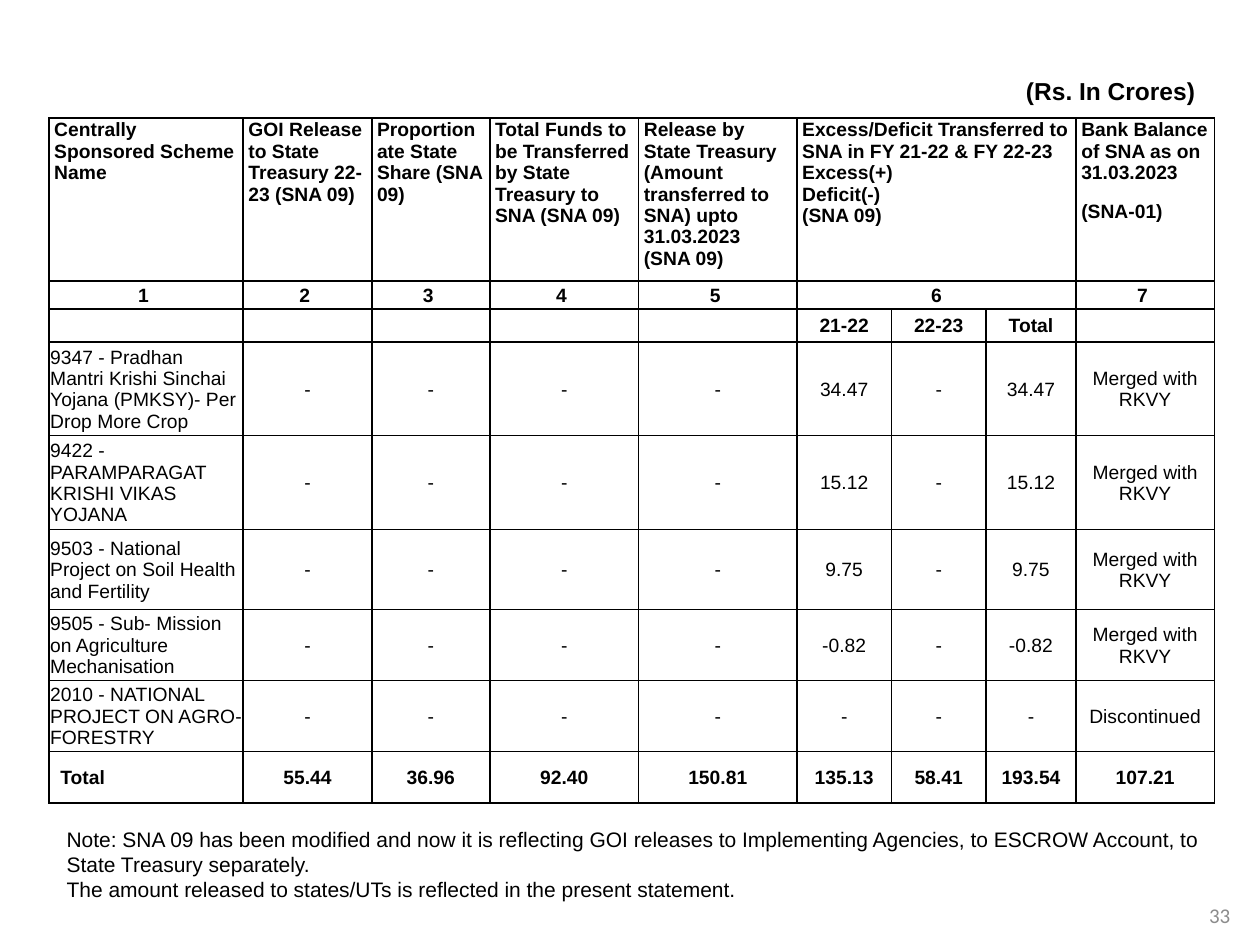
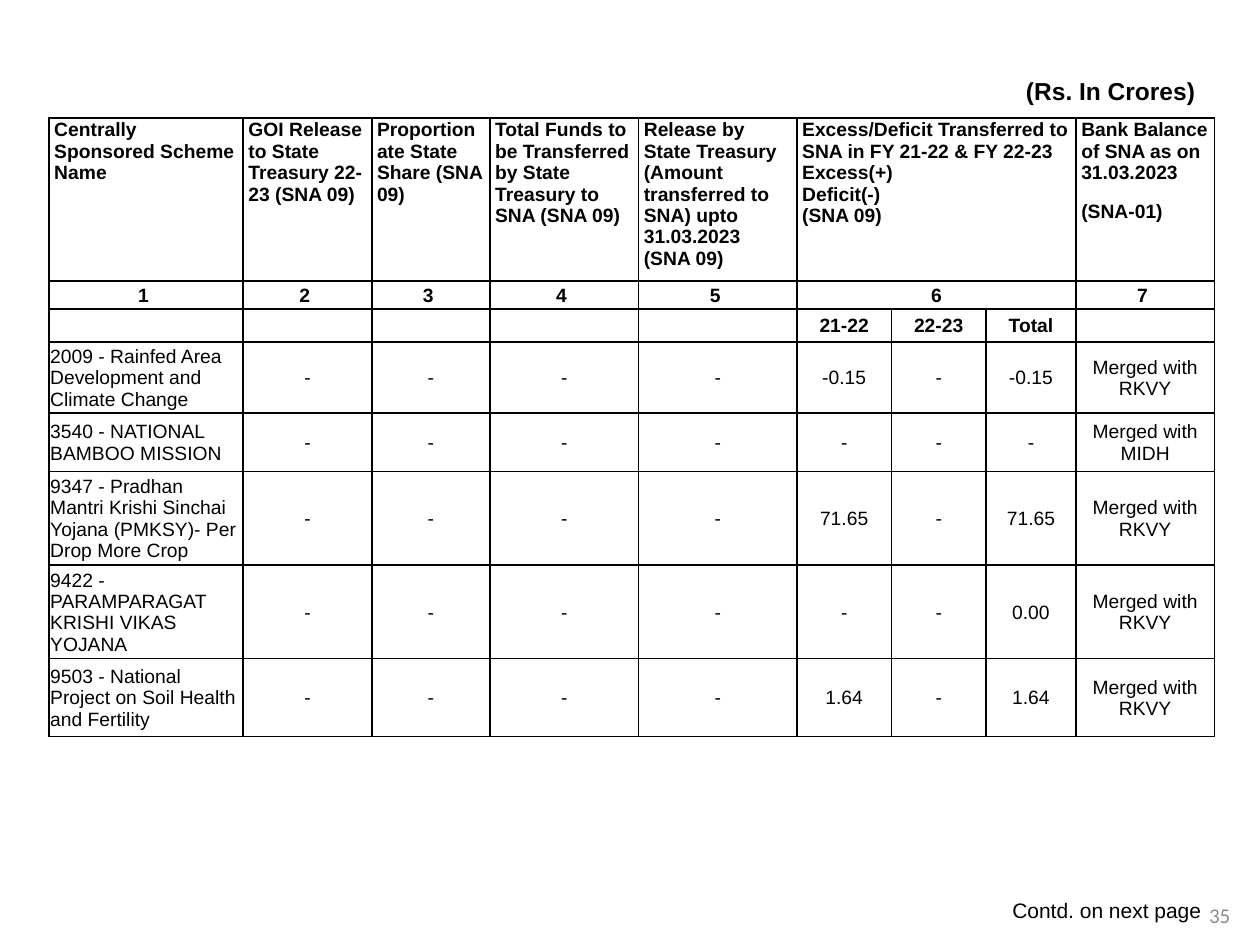
from lxml.etree import SubElement
from pptx import Presentation
from pptx.dml.color import RGBColor
from pptx.enum.text import MSO_ANCHOR as Anchor, MSO_AUTO_SIZE as AutoSize, PP_ALIGN as Align
from pptx.oxml.ns import qn
from pptx.util import Pt

BLACK = RGBColor(0x00, 0x00, 0x00)
GREY = RGBColor(0x8C, 0x8C, 0x8C)
TITLE_ONLY = 5

# Table columns and the heading rows both slides share
COLUMN_WIDTHS = [111, 73.5, 67.5, 85, 90.5, 54, 54, 51.5, 79]
HEADING_HEIGHTS = [93, 16, 19]
EXCESS, EXCESS_END = 5, 7
HEADINGS = {
    0: ["Centrally Sponsored Scheme Name"],
    1: ["GOI Release to State Treasury 22-23 (SNA 09)"],
    2: ["Proportionate State Share (SNA 09)"],
    3: ["Total Funds to be Transferred by State Treasury to SNA (SNA 09)"],
    4: ["Release by State Treasury (Amount transferred to SNA) upto 31.03.2023 (SNA 09)"],
    EXCESS: ["Excess/Deficit Transferred to SNA in FY 21-22 & FY 22-23",
             "Excess(+)", "Deficit(-)", "(SNA 09)"],
    8: ["Bank Balance of SNA as on 31.03.2023", "(SNA-01)"],
}
YEARS = [""] * 5 + ["21-22", "22-23", "Total", ""]

PMKSY = "9347 - Pradhan Mantri Krishi Sinchai Yojana (PMKSY)- Per Drop More Crop"
PKVY = "9422 - PARAMPARAGAT KRISHI VIKAS YOJANA"
SOIL_HEALTH = "9503 - National Project on Soil Health and Fertility"
RKVY = "Merged with RKVY"


def scheme(height, name, excess, status, total=None):
    """Row of a scheme that had no releases in 22-23."""
    return height, [name, *"----", excess, "-", total or excess, status]


class Deck:
    """Holds the style and the current slide."""

    def __init__(self):
        self.deck = Presentation()
        self.deck.slide_width, self.deck.slide_height = Pt(720), Pt(540)
        self.slide = None

    def add_lines(self, frame, lines, size, bold=False, align=Align.LEFT, font="Arial",
                  color=BLACK, after=0, spacing=1.0):
        for number, line in enumerate(lines):
            paragraph = frame.paragraphs[0] if number == 0 else frame.add_paragraph()
            paragraph.alignment = align
            paragraph.space_before, paragraph.space_after = Pt(0), Pt(after)
            paragraph.line_spacing = spacing
            if not line:
                # Keeps an empty cell from growing its row
                SubElement(paragraph._p, qn("a:endParaRPr"), sz=str(size * 100))
                continue
            run = paragraph.add_run()
            run.text = line
            run.font.name, run.font.size, run.font.bold = font, Pt(size), bold
            run.font.color.rgb = color

    def start(self, title):
        self.slide = self.deck.slides.add_slide(self.deck.slide_layouts[TITLE_ONLY])
        unit = self.slide.shapes.title
        unit.left, unit.top, unit.width, unit.height = Pt(31), Pt(24.5), Pt(663), Pt(39.5)
        frame = unit.text_frame
        frame.auto_size, frame.vertical_anchor = AutoSize.NONE, Anchor.BOTTOM
        frame.margin_right = Pt(11)
        self.add_lines(frame, [title], 14, bold=True, align=Align.RIGHT)

    def text(self, left, top, width, height, lines, wrap=True, anchor=Anchor.TOP, **style):
        box = self.slide.shapes.add_textbox(Pt(left), Pt(top), Pt(width), Pt(height))
        box.text_frame.word_wrap, box.text_frame.vertical_anchor = wrap, anchor
        self.add_lines(box.text_frame, lines, 12, **style)

    def page_number(self, number):
        self.text(682.5, 508.5, 29, 29, [str(number)], anchor=Anchor.MIDDLE,
                  align=Align.CENTER, font="Calibri", color=GREY)

    def frame_cell(self, cell):
        properties = cell._tc.get_or_add_tcPr()
        for side in ("a:lnL", "a:lnR", "a:lnT", "a:lnB"):
            border = SubElement(properties, qn(side), w=str(Pt(1)))
            fill = SubElement(border, qn("a:solidFill"))
            SubElement(fill, qn("a:srgbClr"), val=str(BLACK))
        cell.fill.background()

    def cell(self, cell, lines, side=0.7, left=None, anchor=Anchor.MIDDLE, **style):
        cell.margin_left = Pt(side if left is None else left)
        cell.margin_right = Pt(side)
        cell.margin_top, cell.margin_bottom = Pt(0.7), Pt(0)
        cell.vertical_anchor = anchor
        self.add_lines(cell.text_frame, lines, 11, **style)

    def scheme_table(self, schemes, totals=None):
        rows = schemes + ([totals] if totals else [])
        heights = HEADING_HEIGHTS + [height for height, _ in rows]
        table = self.slide.shapes.add_table(
            len(heights), len(COLUMN_WIDTHS), Pt(28), Pt(67.5),
            Pt(sum(COLUMN_WIDTHS)), Pt(sum(heights))).table
        table.first_row = table.horz_banding = False
        for column, width in zip(table.columns, COLUMN_WIDTHS):
            column.width = Pt(width)
        for row, height in zip(table.rows, heights):
            row.height = Pt(height)
            for cell in row.cells:
                self.frame_cell(cell)

        # Headings and their numbers
        for row in range(2):
            table.cell(row, EXCESS).merge(table.cell(row, EXCESS_END))
        for number, (column, heading) in enumerate(HEADINGS.items(), 1):
            self.cell(table.cell(0, column), heading, side=3, anchor=Anchor.TOP,
                      bold=True, after=0 if column == EXCESS else 10)
            label = str(number) if column == EXCESS else f"{number} "
            self.cell(table.cell(1, column), [label], side=3, anchor=Anchor.TOP,
                      bold=True, align=Align.CENTER, after=10, spacing=1.15)
        for column, year in enumerate(YEARS):
            self.cell(table.cell(2, column), [year], bold=True, align=Align.CENTER)

        # Schemes and totals
        for row, (_, values) in enumerate(rows, len(HEADING_HEIGHTS)):
            is_total = totals is not None and row == len(heights) - 1
            for column, value in enumerate(values):
                self.cell(table.cell(row, column), [value], bold=is_total,
                          left=6.5 if is_total and column == 0 else None,
                          align=Align.CENTER if column else Align.LEFT)


def main():
    report = Deck()

    # Schemes with totals
    report.start("(Rs. In Crores)")
    report.scheme_table(
        [scheme(53.5, PMKSY, "34.47", RKVY),
         scheme(53.5, PKVY, "15.12", RKVY),
         scheme(46, SOIL_HEALTH, "9.75", RKVY),
         scheme(40.5, "9505 - Sub- Mission on Agriculture Mechanisation", "-0.82", RKVY),
         scheme(40.5, "2010 - NATIONAL PROJECT ON AGRO- FORESTRY", "-", "Discontinued")],
        totals=(29.5, ["Total", "55.44", "36.96", "92.40", "150.81",
                       "135.13", "58.41", "193.54", "107.21"]))
    report.page_number(33)
    report.text(31, 468.5, 664, 51, [
        "Note: SNA 09 has been modified and now it is reflecting GOI releases to "
        "Implementing Agencies, to ESCROW Account, to State Treasury separately.",
        "The amount released to states/UTs is reflected in the present statement."])

    # Schemes continued on the next page
    report.start("(Rs. In Crores)")
    report.scheme_table(
        [scheme(40.5, "2009 - Rainfed Area Development and Climate Change", "-0.15", RKVY),
         scheme(33.5, "3540 - NATIONAL BAMBOO MISSION", "-", "Merged with MIDH"),
         scheme(53.5, PMKSY, "71.65", RKVY),
         scheme(53.5, PKVY, "-", RKVY, total="0.00"),
         scheme(44.5, SOIL_HEALTH, "1.64", RKVY)])
    report.page_number(35)
    report.text(571, 509, 123, 22, ["Contd. on next page"], wrap=False,
                anchor=Anchor.MIDDLE, align=Align.CENTER)

    report.deck.save("out.pptx")


if __name__ == "__main__":
    main()
